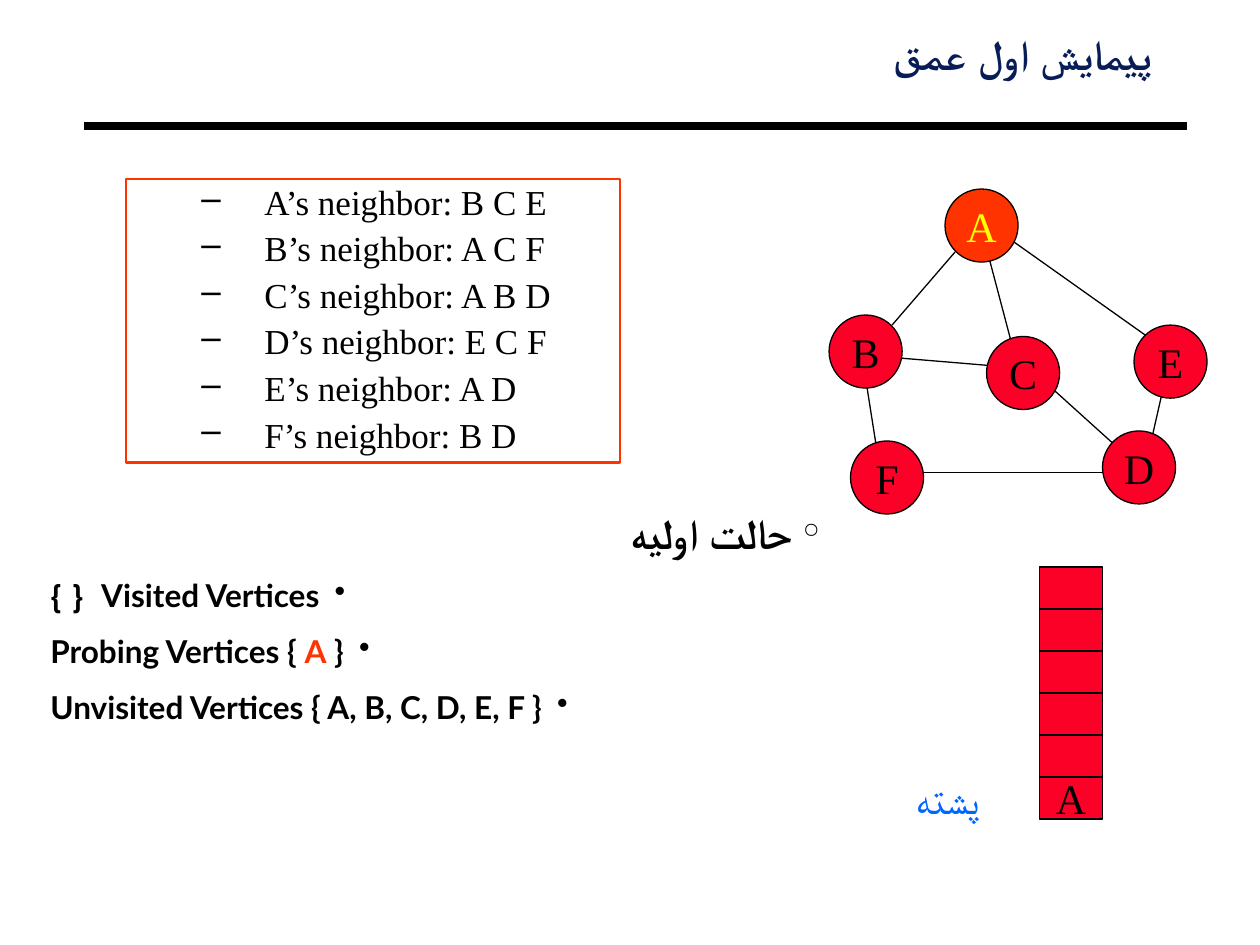
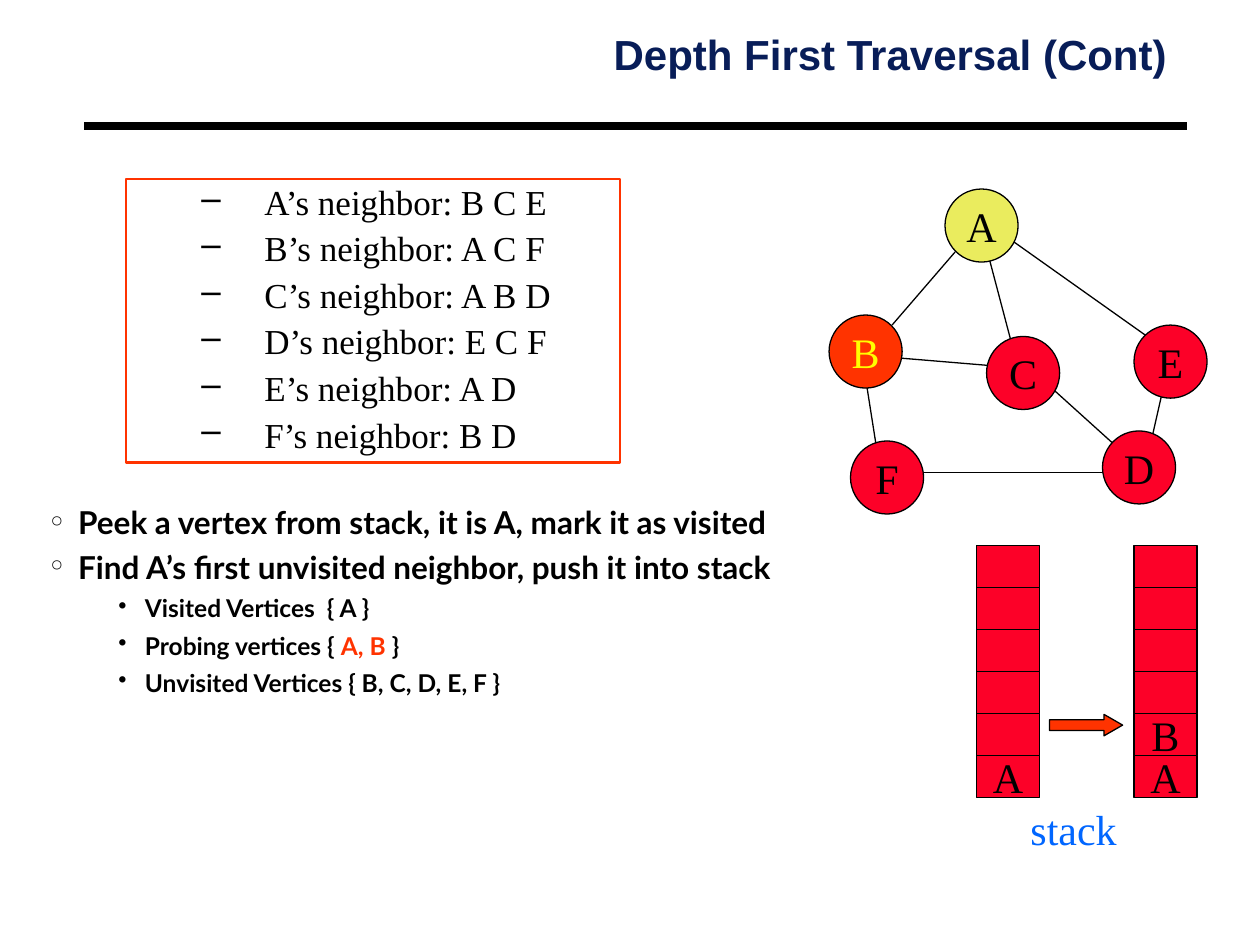
import pptx
import pptx.dml.color
import pptx.enum.shapes
import pptx.enum.text
import pptx.oxml.ns
import pptx.util
from lxml import etree

Inches = pptx.util.Inches
Pt = pptx.util.Pt
RGBColor = pptx.dml.color.RGBColor
SHAPES = pptx.enum.shapes.MSO_SHAPE
ALIGN = pptx.enum.text.PP_ALIGN
ANCHOR = pptx.enum.text.MSO_ANCHOR
FIT = pptx.enum.text.MSO_AUTO_SIZE
qn = pptx.oxml.ns.qn

BLACK = RGBColor(0x00, 0x00, 0x00)
NAVY = RGBColor(0x08, 0x1D, 0x58)
RED = RGBColor(0xFC, 0x01, 0x28)
ORANGE = RGBColor(0xFF, 0x33, 0x00)
YELLOW = RGBColor(0xFF, 0xFF, 0x00)
LIME = RGBColor(0xEA, 0xEC, 0x5E)
BLUE = RGBColor(0x00, 0x66, 0xFF)

TITLE_FONT = {"name": "Arial", "size": Pt(24), "bold": True}
BODY_FONT = {"name": "Lato", "bold": True}
LABEL_FONT = {"name": "Times New Roman", "size": Pt(24)}
LIST_FONT = {"name": "Times New Roman", "size": Pt(20)}

TIGHT_FRAME = {
    "margin_left": Inches(0.07), "margin_right": Inches(0.07),
    "margin_top": Inches(0.03), "margin_bottom": Inches(0.03),
    "vertical_anchor": ANCHOR.TOP, "word_wrap": True,
}
LABEL_FRAME = {"vertical_anchor": ANCHOR.MIDDLE, "word_wrap": False}
GROWING_FRAME = {
    "vertical_anchor": ANCHOR.TOP, "word_wrap": True,
    "auto_size": FIT.SHAPE_TO_FIT_TEXT,
}

NODE_SIZE = 0.58
NODES = {
    "A": (7.5, 1.5), "B": (6.58, 2.5), "C": (7.83, 2.67),
    "E": (9, 2.58), "F": (6.75, 3.5), "D": (8.75, 3.42),
}
EDGES = [
    (7, 2.83, 8.08, 2.92), (7.58, 2, 7.08, 2.58),
    (7.75, 1.67, 8.08, 2.92), (7.92, 1.83, 9.33, 2.83),
    (6.83, 2.75, 7, 3.83), (9.25, 3, 9.08, 3.75),
    (8.17, 2.92, 9, 3.67), (7.17, 3.75, 8.92, 3.75),
]
NEIGHBORS = {"A": "B C E", "B": "A C F", "C": "A B D",
             "D": "E C F", "E": "A D", "F": "B D"}
CELL_WIDTH = 0.5
CELL_HEIGHT = 1 / 3
STACK_DEPTH = 6


def apply(target, values):
    for key, value in values.items():
        setattr(target, key, value)


def style_font(font, values, color):
    apply(font, values)
    font.color.rgb = color


def place(shape, box):
    sides = ("left", "top", "width", "height")
    apply(shape, dict(zip(sides, map(Inches, box))))


def indent(paragraph, margin, first, rtl=False):
    properties = paragraph._p.get_or_add_pPr()
    properties.set("marL", str(Inches(margin)))
    properties.set("indent", str(Inches(first)))
    if rtl:
        properties.set("rtl", "1")
    return properties


def add_bullet(paragraph, mark, margin, first, rtl=False):
    properties = indent(paragraph, margin, first, rtl)
    color = etree.SubElement(properties, qn("a:buClr"))
    etree.SubElement(color, qn("a:srgbClr"), val=str(BLACK))
    etree.SubElement(properties, qn("a:buChar"), char=mark)


def add_line(slide, ends, width):
    line = slide.shapes.add_connector(
        pptx.enum.shapes.MSO_CONNECTOR.STRAIGHT, *map(Inches, ends))
    line.line.color.rgb = BLACK
    line.line.width = Pt(width)
    etree.SubElement(line._element.spPr, qn("a:effectLst"))


def add_figure(slide, kind, box, fill, line_color=BLACK, line_width=0.75):
    figure = slide.shapes.add_shape(kind, *map(Inches, box))
    figure.shadow.inherit = False
    if fill is None:
        figure.fill.background()
    else:
        figure.fill.solid()
        figure.fill.fore_color.rgb = fill
    figure.line.color.rgb = line_color
    figure.line.width = Pt(line_width)
    return figure


def add_label(figure, text, color=BLACK):
    apply(figure.text_frame, LABEL_FRAME)
    paragraph = figure.text_frame.paragraphs[0]
    paragraph.text = text
    paragraph.alignment = ALIGN.CENTER
    style_font(paragraph.font, LABEL_FONT, color)


def add_titled_slide(deck, text, height, margin=0, first=0):
    slide = deck.slides.add_slide(deck.slide_layouts[5])
    title = slide.shapes.title
    place(title, (0.83, 0.25, 8.5, height))
    apply(title.text_frame, TIGHT_FRAME)
    title.text_frame.auto_size = FIT.SHAPE_TO_FIT_TEXT
    paragraph = title.text_frame.paragraphs[0]
    paragraph.text = text
    indent(paragraph, margin, first, rtl=True)
    apply(paragraph, {"alignment": ALIGN.RIGHT, "line_spacing": 0.87})
    style_font(paragraph.font, TITLE_FONT, NAVY)
    add_line(slide, (0.67, 1, 9.42, 1), 4.5)
    return slide


def add_graph(slide, probing, visited=()):
    for ends in EDGES:
        add_line(slide, ends, 0.75)
    for name, corner in NODES.items():
        fill = ORANGE if name == probing else LIME if name in visited else RED
        node = add_figure(slide, SHAPES.OVAL,
                          (*corner, NODE_SIZE, NODE_SIZE), fill)
        add_label(node, name, YELLOW if name == probing else BLACK)


def add_neighbor_list(slide):
    panel = add_figure(slide, SHAPES.RECTANGLE, (1, 1.42, 3.92, 2.25),
                       None, ORANGE, 1.5)
    frame = panel.text_frame
    apply(frame, GROWING_FRAME)
    for index, (name, neighbors) in enumerate(NEIGHBORS.items()):
        paragraph = frame.add_paragraph() if index else frame.paragraphs[0]
        paragraph.text = f"{name}’s neighbor: {neighbors}"
        add_bullet(paragraph, "–", 1, -0.5)
        apply(paragraph, {"level": 1, "alignment": ALIGN.LEFT,
                          "line_spacing": 0.9,
                          "space_before": Pt(5 if index else 0)})
        style_font(paragraph.font, LIST_FONT, BLACK)


def add_steps(slide, box, steps, sizes, spacing, rtl=False):
    frame = slide.shapes.add_textbox(*map(Inches, box)).text_frame
    apply(frame, TIGHT_FRAME)
    for index, (level, parts) in enumerate(steps):
        paragraph = frame.add_paragraph() if index else frame.paragraphs[0]
        if level:
            add_bullet(paragraph, "•", 0.75, -0.21, rtl)
        else:
            add_bullet(paragraph, "°", 0.22, -0.22, rtl)
        flush_right = rtl and level == 0
        apply(paragraph, {"level": level, "line_spacing": spacing,
                          "alignment": ALIGN.RIGHT if flush_right else ALIGN.LEFT,
                          "space_before": Pt(6 if index else 0)})
        for position, part in enumerate(parts):
            run = paragraph.add_run()
            run.text = part
            style_font(run.font, BODY_FONT, ORANGE if position == 1 else BLACK)
            run.font.size = Pt(sizes[level])


def add_stack(slide, left, top, items):
    for row in range(STACK_DEPTH):
        cell = add_figure(
            slide, SHAPES.RECTANGLE,
            (left, top + row * CELL_HEIGHT, CELL_WIDTH, CELL_HEIGHT), RED)
        height_from_bottom = STACK_DEPTH - 1 - row
        if height_from_bottom < len(items):
            add_label(cell, items[height_from_bottom])


def add_stack_caption(slide, left, top, text):
    caption = slide.shapes.add_textbox(*map(Inches, (left, top, 0.92, 0.5)))
    apply(caption.text_frame, GROWING_FRAME)
    paragraph = caption.text_frame.paragraphs[0]
    paragraph.text = text
    style_font(paragraph.font, LABEL_FONT, BLUE)


def add_push_arrow(slide):
    arrow = add_figure(slide, SHAPES.RIGHT_ARROW, (8.33, 5.67, 0.58, 0.17), ORANGE)
    arrow.adjustments[0] = 0.5
    arrow.adjustments[1] = 0.87


def build_initial_state(deck):
    slide = add_titled_slide(deck, "پیمایش اول عمق", 0.42, 0.47, -0.35)
    add_steps(slide, (0.33, 3.92, 6.25, 1.88), [
        (0, ["حالت اولیه"]),
        (1, ["Visited Vertices  { }"]),
        (1, ["Probing Vertices { ", "A", " }"]),
        (1, ["Unvisited Vertices { A, B, C, D, E, F }"]),
    ], sizes=(24, 18), spacing=1.2, rtl=True)
    add_graph(slide, probing="A")
    add_neighbor_list(slide)
    add_stack(slide, 8.25, 4.5, "A")
    add_stack_caption(slide, 7.17, 6.08, "پشته")


def build_first_push(deck):
    slide = add_titled_slide(deck, "Depth First Traversal (Cont)", 1.25)
    add_steps(slide, (0.33, 4, 6.25, 2.5), [
        (0, ["Peek a vertex from stack, it is A, mark it as visited"]),
        (0, ["Find A’s first unvisited neighbor, push it into stack"]),
        (1, ["Visited Vertices  { A }"]),
        (1, ["Probing vertices { ", "A, B", " }"]),
        (1, ["Unvisited Vertices { B, C, D, E, F }"]),
    ], sizes=(18, 14), spacing=0.9)
    add_graph(slide, probing="B", visited="A")
    add_neighbor_list(slide)
    add_stack(slide, 9, 4.33, "AB")
    add_stack_caption(slide, 8.08, 6.33, "stack")
    add_stack(slide, 7.75, 4.33, "A")
    add_push_arrow(slide)


def main():
    deck = pptx.Presentation()
    deck.slide_width = Inches(10)
    deck.slide_height = Inches(7.5)
    build_initial_state(deck)
    build_first_push(deck)
    deck.save("out.pptx")


if __name__ == "__main__":
    main()
